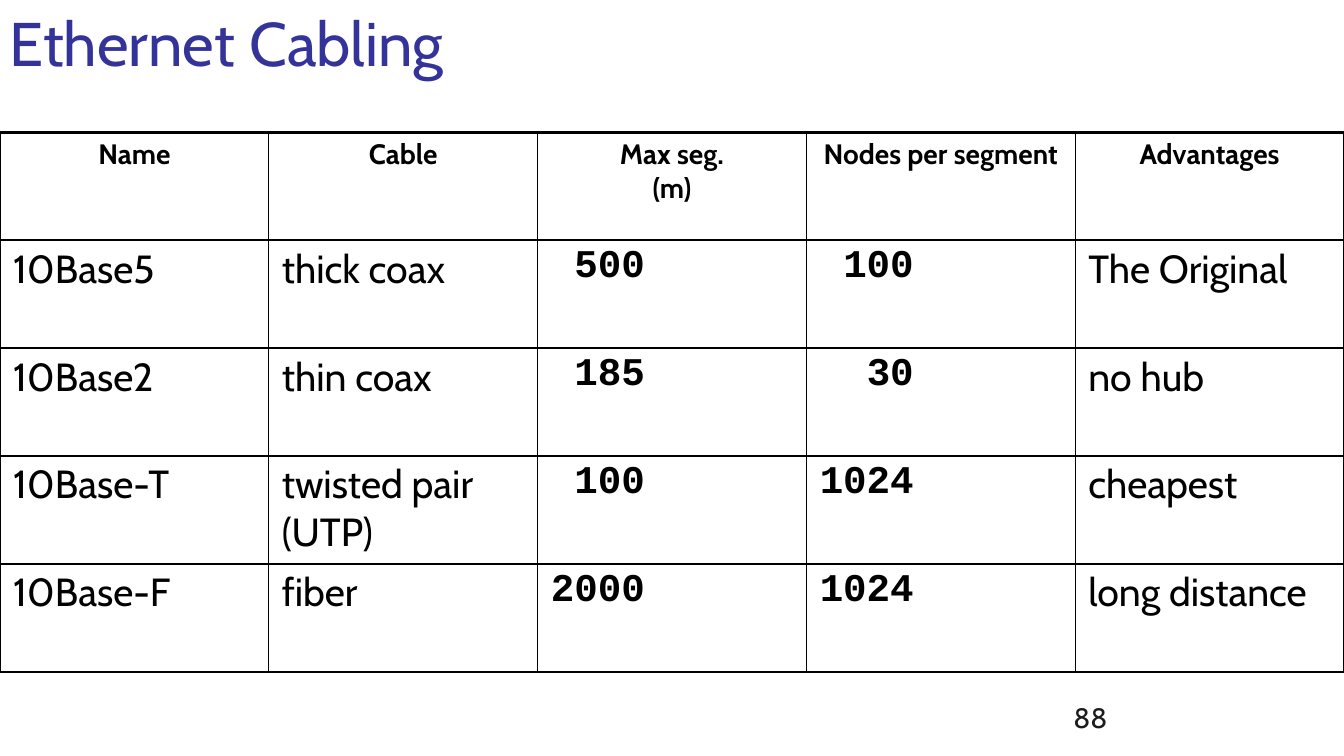
from dataclasses import dataclass

from lxml import etree
from pptx import Presentation
from pptx.dml.color import RGBColor
from pptx.enum.text import MSO_ANCHOR, PP_ALIGN
from pptx.oxml.ns import qn
from pptx.util import Cm, Pt

TOP, BOTTOM = MSO_ANCHOR.TOP, MSO_ANCHOR.BOTTOM
LEFT, CENTER, RIGHT = PP_ALIGN.LEFT, PP_ALIGN.CENTER, PP_ALIGN.RIGHT


@dataclass(frozen=True)
class Theme:
    title_color: str = "333399"
    number_color: str = "1C1C1C"
    text_color: str = "000000"
    text_font: str = "Cabin"
    figure_font: str = "Courier New"
    title_size: int = 44
    body_size: int = 28
    small_size: int = 20
    outer_line: float = 2.25
    inner_line: float = 1


THEME = Theme()
SLIDE_WIDTH, SLIDE_HEIGHT = 33.87, 19.05
TABLE_TOP, ROW_HEIGHT = 3.33, 2.72
CELL_MARGINS = {"margin_left": Cm(0.33), "margin_right": Cm(0.33),
                "margin_top": Cm(0.13), "margin_bottom": Cm(0.13)}
FIGURE_MARGINS = {**CELL_MARGINS, "margin_right": Cm(4.07)}
FIGURE_COLUMNS = (2, 3)

CABLING = [
    ("Name", "Cable", "Max seg.\n(m)", "Nodes per segment", "Advantages"),
    ("10Base5", "thick coax", "500", "100", "The Original"),
    ("10Base2", "thin coax", "185", "30", "no hub"),
    ("10Base-T", "twisted pair (UTP)", "100", "1024", "cheapest"),
    ("10Base-F", "fiber", "2000", "1024", "long distance"),
]

HEADER_FONT = {"name": THEME.text_font, "size": Pt(THEME.small_size), "bold": True}
BODY_FONT = {"name": THEME.text_font, "size": Pt(THEME.body_size), "bold": False}
FIGURE_FONT = {"name": THEME.figure_font, "size": Pt(THEME.body_size), "bold": True}
TITLE_FONT = {"name": THEME.text_font, "size": Pt(THEME.title_size)}
NUMBER_FONT = {"name": THEME.text_font, "size": Pt(THEME.small_size)}


def set_attributes(target, values):
    for name, value in values.items():
        setattr(target, name, value)


def write_text(text_frame, text, font, color, alignment=LEFT):
    paragraph = text_frame.paragraphs[0]
    paragraph.text = text
    paragraph.alignment = alignment
    for run in paragraph.runs:
        set_attributes(run.font, font)
        run.font.color.rgb = RGBColor.from_string(color)


def add_label(slide, text, box, font, color, anchor):
    shape = slide.shapes.add_textbox(*(Cm(length) for length in box))
    set_attributes(shape.text_frame, {"word_wrap": True, "vertical_anchor": anchor})
    write_text(shape.text_frame, text, font, color)


def set_borders(cell, outer_sides):
    """Draw all four borders, heavier on the sides at the table's edge."""
    properties = cell._tc.get_or_add_tcPr()
    for side in "LRTB":
        width = THEME.outer_line if side in outer_sides else THEME.inner_line
        line = etree.SubElement(properties, qn(f"a:ln{side}"), w=str(Pt(width)))
        fill = etree.SubElement(line, qn("a:solidFill"))
        etree.SubElement(fill, qn("a:srgbClr"), val=THEME.text_color)


def cell_format(row, column):
    """Return the font, alignment and margins for a place in the table."""
    if row == 0:
        return HEADER_FONT, CENTER, CELL_MARGINS
    if column in FIGURE_COLUMNS:
        return FIGURE_FONT, RIGHT, FIGURE_MARGINS
    return BODY_FONT, LEFT, CELL_MARGINS


def add_cabling_table(slide, rows):
    last_row, last_column = len(rows) - 1, len(rows[0]) - 1
    table = slide.shapes.add_table(
        len(rows), len(rows[0]), Cm(0), Cm(TABLE_TOP),
        Cm(SLIDE_WIDTH), Cm(ROW_HEIGHT * len(rows))).table
    set_attributes(table, {"first_row": False, "horz_banding": False})
    for row, texts in enumerate(rows):
        for column, text in enumerate(texts):
            cell = table.cell(row, column)
            edges = {"L": column == 0, "R": column == last_column,
                     "T": row == 0, "B": row == last_row}
            set_borders(cell, [side for side, is_outer in edges.items() if is_outer])
            cell.fill.background()
            font, alignment, margins = cell_format(row, column)
            set_attributes(cell, margins)
            write_text(cell.text_frame, text, font, THEME.text_color, alignment)


def main():
    presentation = Presentation()
    set_attributes(presentation, {"slide_width": Cm(SLIDE_WIDTH),
                                  "slide_height": Cm(SLIDE_HEIGHT)})
    slide = presentation.slides.add_slide(presentation.slide_layouts[6])
    add_label(slide, "88", (26.8, 17.35, 7.06, 1.27),
              NUMBER_FONT, THEME.number_color, BOTTOM)
    add_label(slide, "Ethernet Cabling", (0, 0, SLIDE_WIDTH, 2.72),
              TITLE_FONT, THEME.title_color, TOP)
    add_cabling_table(slide, CABLING)
    presentation.save("out.pptx")


if __name__ == "__main__":
    main()
